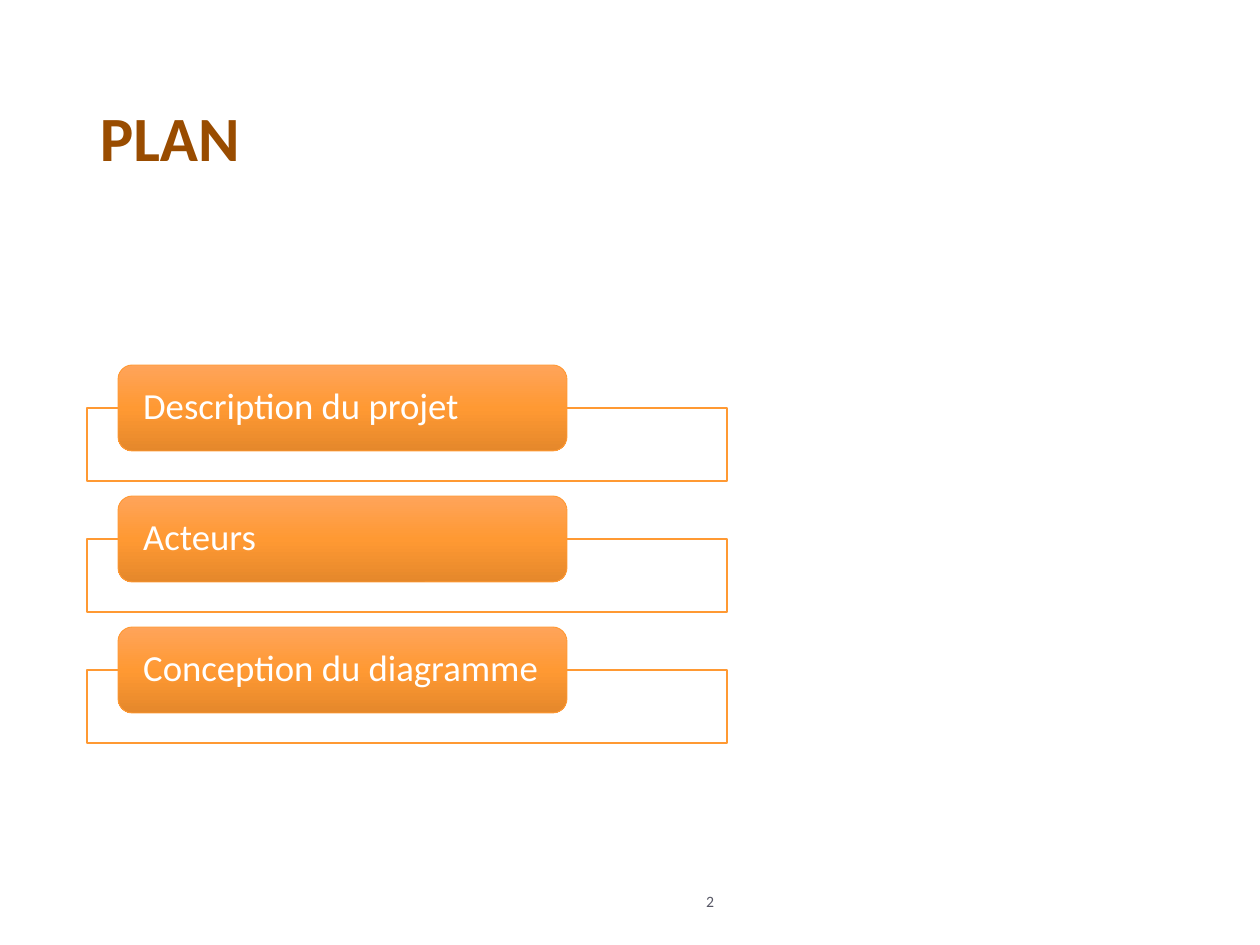
"""Build the plan slide: a title, three agenda items and the page number."""
import copy

import pptx
import pptx.dml.color
import pptx.enum.shapes
import pptx.enum.text
import pptx.oxml.ns
import pptx.util

RGB = pptx.dml.color.RGBColor
SHAPE = pptx.enum.shapes.MSO_SHAPE
ALIGN = pptx.enum.text.PP_ALIGN

TITLE = "PLAN"
AGENDA = ["Description du projet", "Acteurs", "Conception du diagramme"]
PAGE_NUMBER = "2"

BROWN = RGB(0x99, 0x4C, 0x00)
GREY = RGB(0x57, 0x57, 0x65)
WHITE = RGB(0xFF, 0xFF, 0xFF)
ORANGE = RGB(0xFF, 0x99, 0x33)
TAB_GRADIENT = [(0, RGB(0xFF, 0xA4, 0x5A)), (0.5, ORANGE), (1, RGB(0xE5, 0x88, 0x2B))]

FONT = "Calibri"
PX_PER_INCH = 126
LEFT, WIDTH = 87, 640
FRAME_TOP, FRAME_HEIGHT = 408, 73
TAB_INDENT, TAB_RISE, TAB_WIDTH, TAB_HEIGHT = 31, 43, 449, 86
PITCH = 131
TITLE_BOX = (LEFT, 50, WIDTH, 183)
NUMBER_BOX = (622, 876, 105, 50)


def px(length):
    return pptx.util.Emu(round(length * 914400 / PX_PER_INCH))


def write(holder, text, size, color, bold=False, align=ALIGN.LEFT, inset=13, spacing=0.9):
    frame = holder.text_frame
    frame.word_wrap = True
    frame.vertical_anchor = pptx.enum.text.MSO_ANCHOR.MIDDLE
    frame.margin_left = frame.margin_right = px(inset)
    frame.margin_top = frame.margin_bottom = 0
    paragraph = frame.paragraphs[0]
    paragraph.alignment = align
    paragraph.line_spacing = spacing
    run = paragraph.add_run()
    run.text = text
    run.font.name = FONT
    run.font.size = pptx.util.Pt(size)
    run.font.bold = bold
    run.font.color.rgb = color


def add_outlined(slide, preset, box, line_width):
    shape = slide.shapes.add_shape(preset, *map(px, box))
    shape.shadow.inherit = False
    shape.line.color.rgb = ORANGE
    shape.line.width = pptx.util.Pt(line_width)
    return shape


def shade(shape):
    shape.fill.gradient()
    shape.fill.gradient_angle = 270
    stop_list = shape._element.spPr.find(".//" + pptx.oxml.ns.qn("a:gsLst"))
    stop_list.append(copy.deepcopy(stop_list[-1]))
    for stop, (position, color) in zip(shape.fill.gradient_stops, TAB_GRADIENT):
        stop.position = position
        stop.color.rgb = color


def add_agenda_item(slide, label, top):
    frame = add_outlined(slide, SHAPE.RECTANGLE, (LEFT, top, WIDTH, FRAME_HEIGHT), 1)
    frame.fill.solid()
    frame.fill.fore_color.rgb = WHITE
    tab_box = (LEFT + TAB_INDENT, top - TAB_RISE, TAB_WIDTH, TAB_HEIGHT)
    tab = add_outlined(slide, SHAPE.ROUNDED_RECTANGLE, tab_box, 0.5)
    shade(tab)
    write(tab, label, size=21, color=WHITE, inset=21)


def main():
    deck = pptx.Presentation()
    deck.slide_width, deck.slide_height = px(1260), px(945)
    slide = deck.slides.add_slide(deck.slide_layouts[6])
    number = slide.shapes.add_textbox(*map(px, NUMBER_BOX))
    write(number, PAGE_NUMBER, size=9, color=GREY, align=ALIGN.RIGHT, spacing=1.0)
    title = slide.shapes.add_textbox(*map(px, TITLE_BOX))
    write(title, TITLE, size=36, color=BROWN, bold=True)
    for index, label in enumerate(AGENDA):
        add_agenda_item(slide, label, FRAME_TOP + index * PITCH)
    deck.save("out.pptx")


if __name__ == "__main__":
    main()
